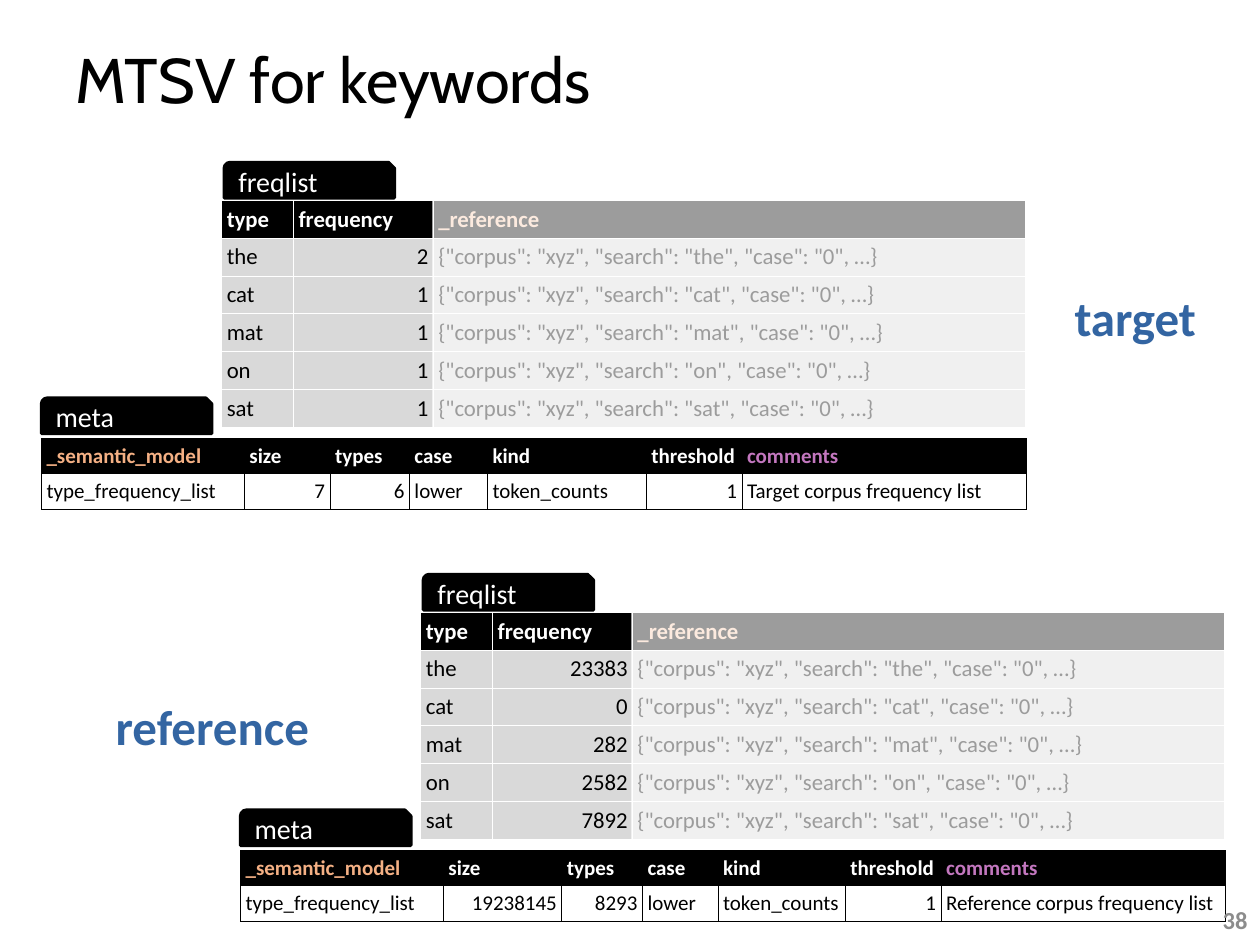
from lxml.etree import SubElement
from pptx import Presentation
from pptx.dml.color import RGBColor
from pptx.enum.shapes import MSO_SHAPE as Shape
from pptx.enum.text import MSO_ANCHOR as Anchor, PP_ALIGN as Align
from pptx.oxml.ns import qn
from pptx.util import Inches, Pt

BLACK = RGBColor(0x00, 0x00, 0x00)
WHITE = RGBColor(0xFF, 0xFF, 0xFF)
GREY = RGBColor(0xD9, 0xD9, 0xD9)
PAGE_GREY = RGBColor(0x8C, 0x8C, 0x8C)
PEACH = RGBColor(0xF8, 0xCB, 0xAD)
ORANGE = RGBColor(0xF4, 0xB0, 0x84)
PURPLE = RGBColor(0xC3, 0x77, 0xBF)
BLUE = RGBColor(0x33, 0x65, 0xA2)

WORDS = ["the", "cat", "mat", "on", "sat"]
FREQ_HEADER = ["type", "frequency", "_reference"]
META_HEADER = ["_semantic_model", "size", "types", "case", "kind", "threshold", "comments"]
HEADER_COLORS = {"_reference": PEACH, "_semantic_model": ORANGE, "comments": PURPLE}


class SlideBuilder:
    font = "Calibri"
    cell_margin = Inches(0.04)

    def __init__(self, page):
        self.page = page

    def style(self, para, size, color, bold=False, align=Align.LEFT, font=None):
        para.alignment = align
        for span in para.runs:
            span.font.name = font or self.font
            span.font.size = Pt(size)
            span.font.bold = bold
            span.font.color.rgb = color

    def text(self, words, left, top, width, height, size, color,
             anchor=Anchor.TOP, bottom_margin=0.05, **style):
        box = self.page.shapes.add_textbox(
            Inches(left), Inches(top), Inches(width), Inches(height))
        frame = box.text_frame
        frame.word_wrap = True
        frame.vertical_anchor = anchor
        frame.margin_bottom = Inches(bottom_margin)
        frame.text = words
        self.style(frame.paragraphs[0], size, color, **style)

    def tab(self, words, left, top):
        tab = self.page.shapes.add_shape(
            Shape.SNIP_ROUND_RECTANGLE, Inches(left), Inches(top), Inches(1.35), Inches(0.28))
        tab.shadow.inherit = False
        tab.fill.solid()
        tab.fill.fore_color.rgb = BLACK
        tab.line.color.rgb = BLACK
        tab.line.width = Pt(2)
        frame = tab.text_frame
        frame.margin_left = Inches(0.1)
        frame.margin_top = frame.margin_right = frame.margin_bottom = 0
        frame.vertical_anchor = Anchor.TOP
        frame.text = words
        self.style(frame.paragraphs[0], 16, WHITE)

    def veil(self, left, top, width, height):
        veil = self.page.shapes.add_shape(
            Shape.RECTANGLE, Inches(left), Inches(top), Inches(width), Inches(height))
        veil.shadow.inherit = False
        veil.line.fill.background()
        veil.fill.solid()
        veil.fill.fore_color.rgb = WHITE
        color = veil.fill._xPr.find(qn("a:solidFill"))[0]
        SubElement(color, qn("a:alpha"), val="61000")

    def borders(self, cell, color):
        properties = cell._tc.get_or_add_tcPr()
        for side in ("a:lnL", "a:lnR", "a:lnT", "a:lnB"):
            line = SubElement(properties, qn(side), w=str(Pt(0.5)))
            fill = SubElement(line, qn("a:solidFill"))
            SubElement(fill, qn("a:srgbClr"), val=str(color))

    def table(self, rows, left, top, widths, row_height, size, border, body_fill=None):
        frame = self.page.shapes.add_table(
            len(rows), len(widths), Inches(left), Inches(top),
            Inches(sum(widths)), Inches(row_height * len(rows)))
        table = frame.table
        table.horz_banding = False
        for column, width in zip(table.columns, widths):
            column.width = Inches(width)
        for row_index, row in enumerate(rows):
            table.rows[row_index].height = Inches(row_height)
            header = row_index == 0
            for column_index, value in enumerate(row):
                cell = table.cell(row_index, column_index)
                cell.margin_left = cell.margin_right = self.cell_margin
                cell.margin_top = cell.margin_bottom = self.cell_margin
                cell.vertical_anchor = Anchor.BOTTOM
                self.borders(cell, border)
                fill = BLACK if header else body_fill
                if fill is None:
                    cell.fill.background()
                else:
                    cell.fill.solid()
                    cell.fill.fore_color.rgb = fill
                cell.text_frame.text = str(value)
                color = HEADER_COLORS.get(value, WHITE) if header else BLACK
                align = Align.RIGHT if isinstance(value, int) else Align.LEFT
                self.style(cell.text_frame.paragraphs[0], size, color, header, align)

    def corpus(self, left, top, counts, meta_widths, size, types, comment):
        """A frequency list with its metadata table below, each under a tab."""
        rows = [FREQ_HEADER]
        for word, count in zip(WORDS, counts):
            rows.append([word, count, f'{{"corpus": "xyz", "search": "{word}", "case": "0", …}}'])
        self.table(rows, left, top, [0.57, 1.11, 4.7], 0.3, 13, WHITE, GREY)
        self.veil(left + 1.67, top, 4.74, 1.81)
        self.tab("freqlist", left + 0.02, top - 0.3)

        meta_left = left - 1.43
        meta = ["type_frequency_list", size, types, "lower", "token_counts", 1, comment]
        self.table([META_HEADER, meta], meta_left, top + 1.89, meta_widths, 0.28, 12, BLACK)
        self.tab("meta", meta_left, top + 1.57)


def main():
    deck = Presentation()
    deck.slide_width, deck.slide_height = Inches(10), Inches(7.5)
    builder = SlideBuilder(deck.slides.add_slide(deck.slide_layouts[6]))

    # Title
    builder.text("MTSV for keywords", 0.5, 0.3, 9, 1.25, 36, BLACK,
                 anchor=Anchor.MIDDLE, bottom_margin=0.65, font="Cabin")

    # Target corpus
    builder.corpus(1.76, 1.59, [2, 1, 1, 1, 1],
                   [1.61, 0.68, 0.63, 0.62, 1.26, 0.76, 2.26],
                   7, 6, "Target corpus frequency list")
    builder.text("target", 8.31, 2.23, 1.4, 0.57, 28, BLUE, bold=True, align=Align.CENTER)

    # Reference corpus
    builder.corpus(3.34, 4.86, [23383, 0, 282, 2582, 7892],
                   [1.61, 0.94, 0.64, 0.6, 1.01, 0.76, 2.26],
                   19238145, 8293, "Reference corpus frequency list")
    builder.text("reference", 0.71, 5.48, 1.95, 0.57, 28, BLUE, bold=True, align=Align.CENTER)

    # Page number
    builder.text("38", 7.67, 7.1, 2.33, 0.4, 14, PAGE_GREY,
                 anchor=Anchor.MIDDLE, bold=True, align=Align.RIGHT)

    deck.save("out.pptx")


if __name__ == "__main__":
    main()
